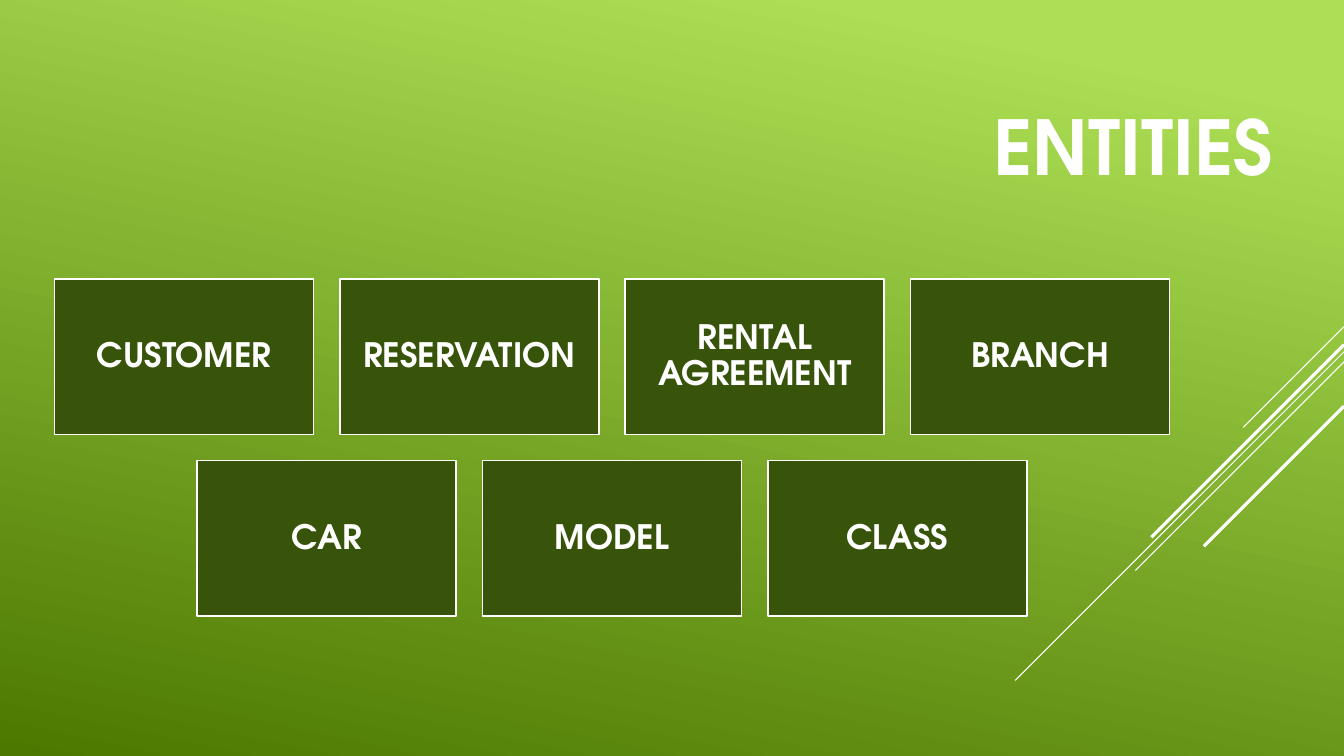
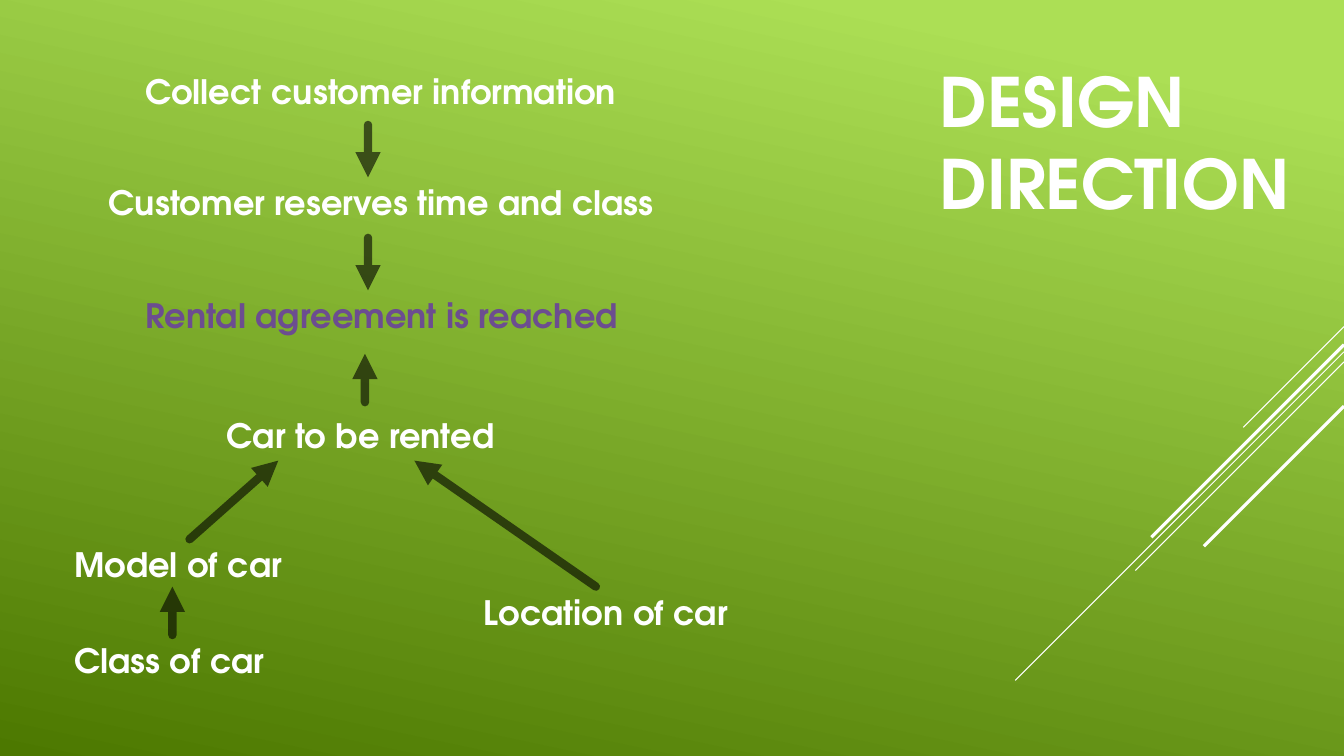
from pptx import Presentation
from pptx import util as u
from pptx.dml import color
from pptx.enum import shapes, text
from pptx.oxml import ns
from lxml import etree

FONT = "TeX Gyre Adventor"
WHITE, BLACK, CARD, PURPLE = "FFFFFF", "000000", "38540A", "6C4D90"
LIGHT, DARK = "ACDF55", "4C7800"
MID = text.MSO_ANCHOR.MIDDLE
LEFT, MIDDLE = text.PP_ALIGN.LEFT, text.PP_ALIGN.CENTER


def rgb(hue):
    return color.RGBColor.from_string(hue)


def inch(*vals):
    return [u.Inches(v) for v in vals]


def assign(obj, vals):
    for key, val in vals.items():
        setattr(obj, key, val)


def write(shape, words, size, hue=WHITE, frame=None, para=None):
    """Put one bold paragraph in a shape; a newline breaks the line."""
    box = shape.text_frame
    assign(box, {"word_wrap": True, **(frame or {})})
    par = box.paragraphs[0]
    par.text = words
    assign(par, para or {})
    for run in par.runs:
        assign(run.font, {"name": FONT, "size": u.Pt(size), "bold": True})
        run.font.color.rgb = rgb(hue)


def stroke(slide, start, end, hue, width):
    """Draw a straight line without a shadow."""
    line = slide.shapes.add_connector(
        shapes.MSO_CONNECTOR.STRAIGHT, *inch(*start, *end))
    line.line.width = u.Pt(width)
    line.line.color.rgb = rgb(hue)
    etree.SubElement(line.element.spPr, ns.qn("a:effectLst"))
    return line


def arrow(slide, start, end):
    """Draw a thick, see-through arrow with round ends."""
    line = stroke(slide, start, end, BLACK, 6)
    ln = line.element.spPr.find(ns.qn("a:ln"))
    ln.set("cap", "rnd")
    tint = ln.find(".//" + ns.qn("a:srgbClr"))
    etree.SubElement(tint, ns.qn("a:alpha"), val="60000")
    etree.SubElement(ln, ns.qn("a:round"))
    etree.SubElement(ln, ns.qn("a:tailEnd"), type="triangle")


# Shared look: gradient and slanted lines on the master
def backdrop(master):
    fill = master.background.fill
    fill.gradient()
    fill.gradient_angle = 258
    for stop, place, hue in zip(fill.gradient_stops, (0.1, 1), (LIGHT, DARK)):
        stop.position = place
        stop.color.rgb = rgb(hue)


def slants(slide, master):
    right = 13.33
    rays = [(3.24, 1, 0.75), (3.49, 3.26, 0.75), (3.59, 2.07, 0.75),
            (3.42, 1.91, 2.25), (4.03, 1.39, 2.25)]
    for num, (top, run, width) in enumerate(rays):
        ray = stroke(slide, (right, top), (right - run, top + run),
                     WHITE, width)
        ray.element.nvCxnSpPr.cNvPr.id = 100 + num
        master.shapes.element.append(ray.element)


def heading(slide, words, box, size):
    title = slide.shapes.title
    assign(title, dict(zip(("left", "top", "width", "height"), inch(*box))))
    write(title, words, size,
          frame={"vertical_anchor": MID, "auto_size": text.MSO_AUTO_SIZE.NONE},
          para={"alignment": LEFT})


# Entity cards: rows centred in the box
def cards(slide, rows, box):
    left, top, width, _ = box
    wide, high, gap = 2.57, 1.54, 0.26
    pads = ("margin_left", "margin_right", "margin_top", "margin_bottom")
    frame = {"vertical_anchor": MID, **dict.fromkeys(pads, u.Inches(0.1))}
    for row, names in enumerate(rows):
        span = len(names) * (wide + gap) - gap
        start = left + (width - span) / 2
        for col, name in enumerate(names):
            card = slide.shapes.add_shape(
                shapes.MSO_SHAPE.RECTANGLE,
                *inch(start + col * (wide + gap),
                      top + row * (high + gap), wide, high))
            card.shadow.inherit = False
            card.fill.solid()
            card.fill.fore_color.rgb = rgb(CARD)
            card.line.color.rgb = rgb(WHITE)
            card.line.width = u.Pt(1.25)
            write(card, name, 24, frame=frame,
                  para={"alignment": MIDDLE, "line_spacing": 0.9})


# Flow of steps: labels and arrows, offset from the box corner
def flow(slide, steps, links, box):
    left, top = box[:2]
    for words, across, down, width, hue in steps:
        label = slide.shapes.add_textbox(
            *inch(left + across, top + down, width, 0.5))
        write(label, words, 24, hue,
              frame={"auto_size": text.MSO_AUTO_SIZE.SHAPE_TO_FIT_TEXT})
    for ends in links:
        arrow(slide, *[(left + x, top + y) for x, y in ends])


deck = Presentation()
deck.slide_width, deck.slide_height = inch(13.33, 7.5)
plain = deck.slide_layouts.get_by_name("Title Only")
backdrop(deck.slide_master)

# Entities
first = deck.slides.add_slide(plain)
slants(first, deck.slide_master)
heading(first, "ENTITIES", (9.75, 0.62, 3.72, 1.65), 54)
cards(first, [("CUSTOMER", "RESERVATION", "RENTAL\nAGREEMENT", "BRANCH"),
              ("CAR", "MODEL", "CLASS")], (0.54, 2.77, 11.06, 3.34))

# Design direction
second = deck.slides.add_slide(plain)
heading(second, "DESIGN\nDIRECTION", (9.22, 0.58, 4.12, 1.65), 48.6)
steps = [
    ("Collect customer information", 0.7, 0, 5.89, WHITE),
    ("Customer reserves time and class", 0.34, 1.11, 5.89, WHITE),
    ("Rental agreement is reached", 0.7, 2.23, 5.89, PURPLE),
    ("Car to be rented", 1.51, 3.42, 3.93, WHITE),
    ("Model of car", 0, 4.7, 2.74, WHITE),
    ("Class of car", 0, 5.65, 3.01, WHITE),
    ("Location of car", 4.06, 5.17, 3.93, WHITE),
]
links = [
    ((1.07, 5.65), (1.07, 5.17)),
    ((1.24, 4.7), (2.12, 3.92)),
    ((5.27, 5.17), (3.47, 3.92)),
    ((2.98, 3.34), (2.98, 2.86)),
    ((3.01, 1.71), (3.01, 2.23)),
    ((3.01, 0.59), (3.01, 1.11)),
]
flow(second, steps, links, (0.64, 0.65, 7.99, 6.15))

deck.save("out.pptx")
